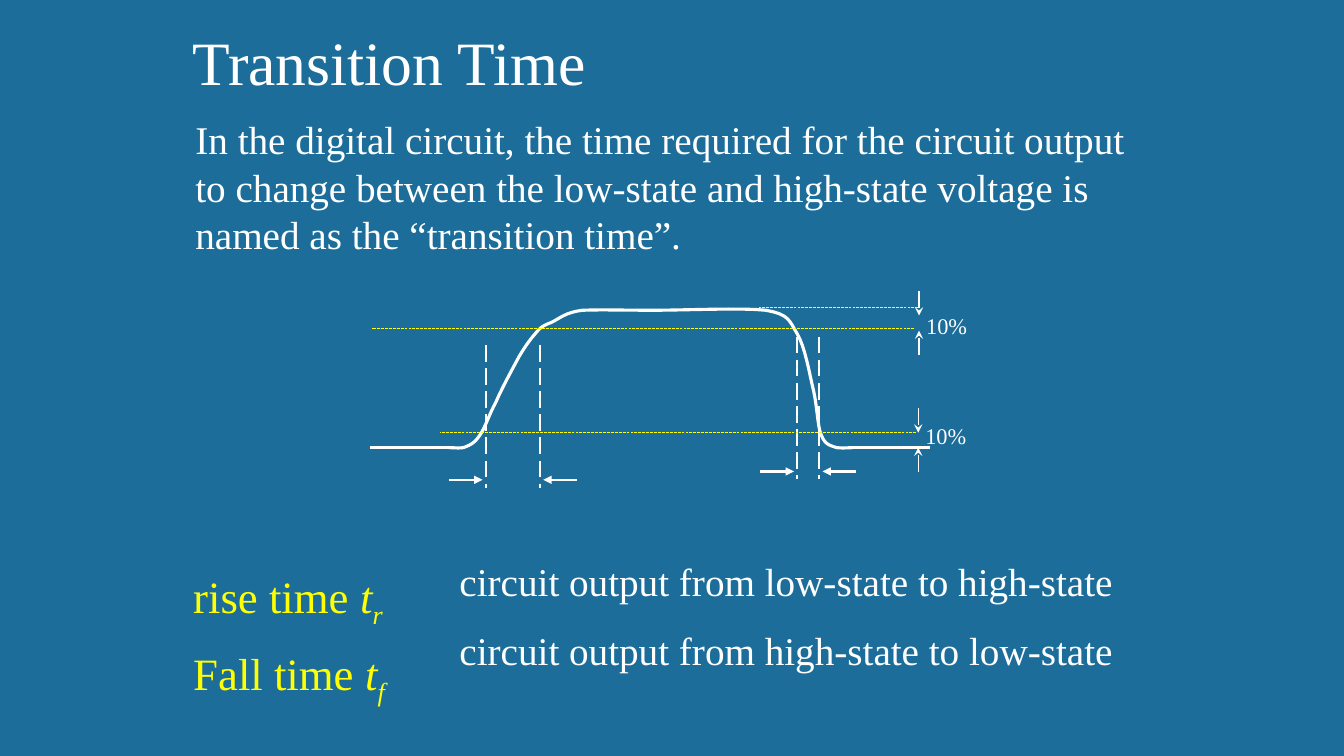
from lxml.etree import SubElement as Sub
from pptx import Presentation
from pptx.dml.color import RGBColor as RGB
from pptx.enum.dml import MSO_LINE as Dash
from pptx.enum.shapes import MSO_CONNECTOR as Link
from pptx.enum.text import MSO_ANCHOR as Anchor, MSO_AUTO_SIZE as Fit, PP_ALIGN as Align
from pptx.oxml.ns import qn
from pptx.util import Cm, Pt

WHITE, YELLOW = "FFFFFF", "FFFF00"


def line(x1, y1, x2, y2, wide=1.5, tint=WHITE, dash=None, head=None):
    rule = shapes.add_connector(Link.STRAIGHT, Cm(x1), Cm(y1), Cm(x2), Cm(y2))
    rule.line.color.rgb = RGB.from_string(tint)
    rule.line.width = Pt(wide)
    if dash:
        rule.line.dash_style = dash
    props = rule._element.spPr
    if head:
        Sub(props.find(qn("a:ln")), qn("a:tailEnd"), type=head)
    Sub(props, qn("a:effectLst"))


def write(shape, box, text, size, tint=WHITE):
    shape.left, shape.top, shape.width, shape.height = [Cm(v) for v in box]
    frame = shape.text_frame
    frame.text = text
    frame.word_wrap = True
    frame.auto_size = Fit.NONE
    frame.vertical_anchor = Anchor.TOP
    for para in frame.paragraphs:
        para.alignment = Align.LEFT
        para.space_before = Pt(0)
        for run in para.runs:
            run.font.name = "Times New Roman"
            run.font.size = Pt(size)
            run.font.color.rgb = RGB.from_string(tint)
    return frame


deck = Presentation()
deck.slide_width, deck.slide_height = Cm(33.87), Cm(19.05)
slide = deck.slides.add_slide(deck.slide_layouts[1])
slide.background.fill.solid()
slide.background.fill.fore_color.rgb = RGB.from_string("1C6D9A")
shapes = slide.shapes

write(shapes.title, (4.6, 0.48, 12, 2.13), "Transition Time", 44)
body = write(slide.placeholders[1], (4.67, 2.79, 24.84, 3.84),
             "In the digital circuit, the time required for the circuit output "
             "to change between the low-state and high-state voltage is "
             "named as the “transition time”.", 28)
props = body.paragraphs[0]._p.get_or_add_pPr()
props.set("marL", "0")
props.set("indent", "0")
Sub(props, qn("a:buNone"))

for left, right, top in [(12.24, 13.61, 8.69), (20.09, 20.65, 8.48)]:
    base = top + 3.6
    for x, side in [(left, -1), (right, 1)]:
        line(x, top, x, base, dash=Dash.LONG_DASH)
        line(x + side * 0.93, base - 0.2, x + side * 0.08, base - 0.2, head="triangle")

for start, end in [(9.32, 11.33), (21.46, 23.44)]:
    line(start, 11.28, end, 11.28, 2.25)

first = (11.28, 11.28)
curves = [
    [(11.43, 11.28), (11.56, 11.3), (11.68, 11.28)],
    [(11.81, 11.23), (11.96, 11.18), (12.09, 10.97)],
    [(12.22, 10.8), (12.32, 10.46), (12.5, 10.13)],
    [(12.65, 9.78), (12.93, 9.27), (13.08, 8.99)],
    [(13.26, 8.69), (13.36, 8.56), (13.49, 8.41)],
    [(13.61, 8.26), (13.69, 8.2), (13.89, 8.13)],
    [(14.1, 8.03), (14.25, 7.87), (14.68, 7.82)],
    [(15.11, 7.8), (15.72, 7.82), (16.48, 7.82)],
    [(17.27, 7.82), (18.69, 7.75), (19.3, 7.82)],
    [(19.89, 7.92), (19.89, 8.08), (20.09, 8.41)],
    [(20.29, 8.74), (20.4, 9.42), (20.5, 9.83)],
    [(20.6, 10.26), (20.6, 10.74), (20.7, 10.97)],
    [(20.8, 11.23), (20.96, 11.23), (21.08, 11.28)],
    [(21.23, 11.3), (21.44, 11.28), (21.49, 11.28)],
]
points, last = [], first
for one, two, end in curves:
    for step in range(1, 9):
        t = step / 8
        u = 1 - t
        points.append([Cm(u**3 * a + 3 * u * u * t * b + 3 * u * t * t * c + t**3 * d)
                       for a, b, c, d in zip(last, one, two, end)])
    last = end
pen = shapes.build_freeform(Cm(first[0]), Cm(first[1]))
pen.add_line_segments(points, close=False)
pulse = pen.convert_to_shape()
pulse.shadow.inherit = False
pulse.fill.background()
pulse.line.color.rgb = RGB.from_string(WHITE)
pulse.line.width = Pt(2.25)

for start, end, y in [(23.09, 11.1, 10.9), (23.04, 9.37, 8.26), (23.14, 19.13, 7.75)]:
    line(start, y, end, y, 0.25, YELLOW, Dash.LONG_DASH)

for x, mid, top in [(23.14, 11.09, 10.52), (23.16, 8.14, 7.75)]:
    for side in (-1, 1):
        line(x, mid + side * 0.8, x, mid + side * 0.19, 1, head="stealth")
    write(shapes.add_textbox(0, 0, 0, 0), (x - 0.07, top, 1.8, 0.94), "10%", 16)

terms = write(shapes.add_textbox(0, 0, 0, 0), (4.62, 14.05, 13.39, 3.53),
              "rise time \nFall time ", 32, YELLOW)
for para, mark in zip(terms.paragraphs, "rf"):
    para.line_spacing = 1.1
    for text in ("t", mark):
        run = para.add_run()
        run.text = text
        run.font.name = "Times New Roman"
        run.font.size = Pt(32)
        run.font.italic = True
        run.font.color.rgb = RGB.from_string(YELLOW)
    run._r.get_or_add_rPr().set("baseline", "-25000")
terms.paragraphs[1].space_before = Pt(7)

for row, (start, end) in enumerate([("low", "high"), ("high", "low")]):
    write(shapes.add_textbox(0, 0, 0, 0), (11.33, 13.92 + row * 1.73, 17.75, 1.45),
          f"circuit output from {start}-state to {end}-state", 28)

deck.save("out.pptx")
